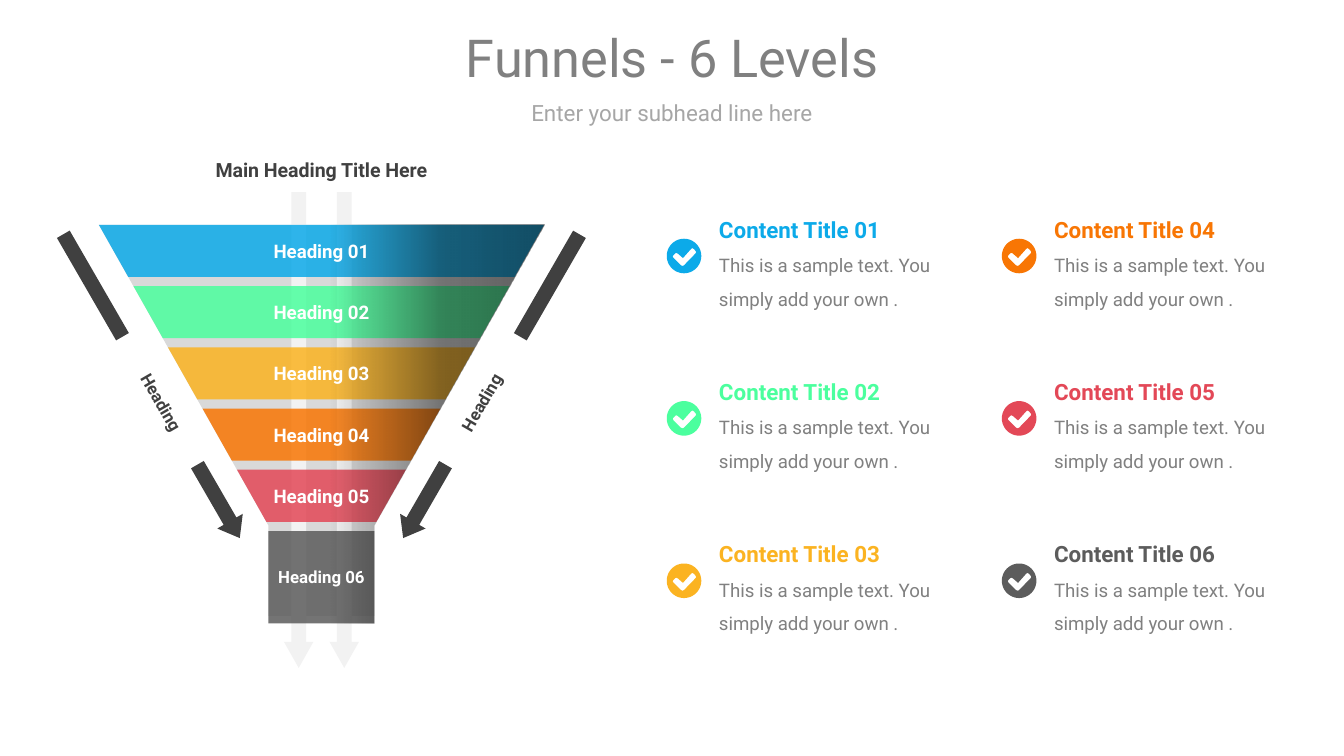
import math
from dataclasses import dataclass

import pptx
import pptx.dml.color
import pptx.enum.shapes
import pptx.enum.text
import pptx.oxml
import pptx.oxml.ns
import pptx.util

Pt = pptx.util.Pt
PRESET = pptx.enum.shapes.MSO_SHAPE
ALIGN = pptx.enum.text.PP_ALIGN


@dataclass(frozen=True)
class Theme:
    font: str = "Roboto"
    title: str = "808080"
    subhead: str = "A6A6A6"
    body: str = "808080"
    dark: str = "404040"
    cone: str = "D9D9D9"
    flow: str = "F2F2F2"
    white: str = "FFFFFF"
    shade: str = "000000"
    levels: tuple = ("0CAAE9", "4BFF9E", "FBB321", "F87604", "E34857", "5C5C5C")
    level_opacity: int = 85
    shade_stops: tuple = ((4, 0), (53, 46), (100, 56))
    title_size: float = 28
    subhead_size: float = 12
    main_heading_size: float = 10.5
    heading_size: float = 10
    small_heading_size: float = 9
    content_title_size: float = 12
    body_size: float = 10


THEME = Theme()
CHECK = [(.47, .56), (.70, .30), (.74, .27), (.79, .30), (.84, .36), (.85, .40),
         (.83, .43), (.50, .77), (.46, .79), (.41, .77), (.19, .55), (.17, .51),
         (.19, .48), (.25, .42), (.28, .41), (.32, .43)]


def paint(shape, color, opacity=100):
    shape.shadow.inherit = False
    shape.line.fill.background()
    shape.fill.solid()
    shape.fill.fore_color.rgb = pptx.dml.color.RGBColor.from_string(color)
    if opacity < 100:
        tint = next(shape._element.spPr.iter(pptx.oxml.ns.qn("a:srgbClr")))
        tint.append(pptx.oxml.parse_xml(
            f'<a:alpha {pptx.oxml.ns.nsdecls("a")} val="{opacity * 1000}"/>'))


def paint_shade(shape):
    paint(shape, THEME.shade)
    stops = "".join(
        f'<a:gs pos="{position * 1000}"><a:srgbClr val="{THEME.shade}">'
        f'<a:alpha val="{opacity * 1000}"/></a:srgbClr></a:gs>'
        for position, opacity in THEME.shade_stops)
    gradient = pptx.oxml.parse_xml(
        f'<a:gradFill {pptx.oxml.ns.nsdecls("a")}><a:gsLst>{stops}</a:gsLst>'
        '<a:lin ang="0" scaled="0"/></a:gradFill>')
    spPr = shape._element.spPr
    spPr.replace(spPr.find(pptx.oxml.ns.qn("a:solidFill")), gradient)


def add_outline(shapes, *contours):
    builder = None
    for contour in contours:
        start, *rest = [(Pt(x), Pt(y)) for x, y in contour]
        if builder is None:
            builder = shapes.build_freeform(*start)
        else:
            builder.move_to(*start)
        builder.add_line_segments(rest, close=True)
    return builder.convert_to_shape()


def add_centered(shapes, preset, x, y, width, height, color, rotation=0, head=None):
    shape = shapes.add_shape(preset, Pt(x - width / 2), Pt(y - height / 2),
                             Pt(width), Pt(height))
    shape.rotation = rotation
    if head:
        shape.adjustments[0] = 0.5
        shape.adjustments[1] = head
    paint(shape, color)
    return shape


def set_frame(frame, wrap=True):
    frame.margin_left = frame.margin_right = frame.margin_top = frame.margin_bottom = 0
    frame.vertical_anchor = pptx.enum.text.MSO_ANCHOR.MIDDLE
    frame.auto_size = pptx.enum.text.MSO_AUTO_SIZE.NONE
    frame.word_wrap = wrap


def set_paragraph(paragraph, text, size, color, bold=False, align=ALIGN.CENTER):
    paragraph.text = text
    paragraph.alignment = align
    paragraph.space_before = Pt(0)
    paragraph.font.name = THEME.font
    paragraph.font.size = Pt(size)
    paragraph.font.bold = bold
    paragraph.font.color.rgb = pptx.dml.color.RGBColor.from_string(color)


def add_heading(shapes, text, x, y, size, color, width=88.6, height=12, rotation=0):
    heading = shapes.add_textbox(Pt(x - width / 2), Pt(y - height / 2),
                                 Pt(width), Pt(height))
    heading.rotation = rotation
    set_frame(heading.text_frame)
    set_paragraph(heading.text_frame.paragraphs[0], text, size, color, bold=True)


def fill_header(slide, left, top, width):
    title, subhead = slide.shapes.title, slide.placeholders[1]
    for part, text, offset, height, size, color, wrap in (
            (title, "Funnels - 6 Levels", 0, 38.9, THEME.title_size, THEME.title, True),
            (subhead, "Enter your subhead line here", 42.5, 13.7,
             THEME.subhead_size, THEME.subhead, False)):
        part.left, part.top = Pt(left), Pt(top + offset)
        part.width, part.height = Pt(width), Pt(height)
        set_frame(part.text_frame, wrap)
        set_paragraph(part.text_frame.paragraphs[0], text, size, color)


def add_funnel(slide, left, top, width, height):
    center, half, neck = left + width / 2, width / 2, 28.4
    pitch, band_height, shoulder = 32.8, 27.9, 161
    slope = (half - neck) / shoulder
    neck_top = 5 * pitch
    middle = top + (neck_top + height) / 2
    funnel = slide.shapes.add_group_shape().shapes

    cone = add_outline(funnel, [
        (left, top), (left + width, top), (center + neck, top + shoulder),
        (center + neck, top + height - 4), (center - neck, top + height - 4),
        (center - neck, top + shoulder)])
    paint(cone, THEME.cone)

    for offset in (-12.2, 12.2):
        add_centered(funnel, PRESET.RIGHT_ARROW, center + offset, top + 109.9,
                     254.9, 15.8, THEME.flow, 90, 0.886)

    for level, color in enumerate(THEME.levels[:5]):
        upper = level * pitch
        lower = upper + band_height
        wide, narrow = half - upper * slope, half - lower * slope
        band = add_outline(funnel, [
            (center - wide, top + upper), (center + wide, top + upper),
            (center + narrow, top + lower), (center - narrow, top + lower)])
        paint(band, color, THEME.level_opacity)
    spout = add_centered(funnel, PRESET.RECTANGLE, center, middle, 2 * neck,
                         height - neck_top, THEME.levels[5])
    paint(spout, THEME.levels[5], THEME.level_opacity)

    shade = add_outline(funnel, [
        (center, top), (left + width, top), (center + neck, top + shoulder),
        (center + neck, top + height), (center, top + height)])
    paint_shade(shade)

    add_heading(slide.shapes, "Main Heading Title Here", center, top - 29.8,
                THEME.main_heading_size, THEME.dark, width=183.6)
    for level in range(5):
        add_heading(slide.shapes, f"Heading {level + 1:02}", center,
                    top + level * pitch + band_height / 2,
                    THEME.heading_size, THEME.white)
    add_heading(slide.shapes, "Heading 06", center, middle,
                THEME.small_heading_size, THEME.white)

    for side, rotation, reading in ((-1, 60, 60), (1, 120, 300)):
        add_centered(slide.shapes, PRESET.RECTANGLE, center + side * 122.4, top + 32.5,
                     63.4, 7.9, THEME.dark, rotation)
        add_heading(slide.shapes, "Heading", center + side * 85.7, top + 95.1,
                    THEME.small_heading_size, THEME.dark, rotation=reading)
        add_centered(slide.shapes, PRESET.RIGHT_ARROW, center + side * 55.1,
                     top + 148.1, 45.4, 15.8, THEME.dark, rotation, 0.659)


def add_content(slide, left, top, height, number, color):
    diameter, steps = 18.5, 48
    icon_top = top + (height - diameter) / 2
    circle = [(0.5 + math.cos(2 * math.pi * step / steps) / 2,
               0.5 + math.sin(2 * math.pi * step / steps) / 2) for step in range(steps)]
    icon = add_outline(slide.shapes, *(
        [(left + x * diameter, icon_top + y * diameter) for x, y in contour]
        for contour in (circle, CHECK)))
    paint(icon, color)

    content = slide.shapes.add_textbox(Pt(left + 28), Pt(top), Pt(124.6), Pt(height))
    frame = content.text_frame
    set_frame(frame)
    set_paragraph(frame.paragraphs[0], f"Content Title {number:02}",
                  THEME.content_title_size, color, True, ALIGN.LEFT)
    set_paragraph(frame.add_paragraph(), "This is a sample text. You simply add your own .",
                  THEME.body_size, THEME.body, False, ALIGN.LEFT)
    for paragraph in frame.paragraphs:
        paragraph.line_spacing = 1.5


def add_content_grid(slide, left, top, column_pitch, row_pitch):
    for index, color in enumerate(THEME.levels):
        column, row = divmod(index, 3)
        add_content(slide, left + column * column_pitch, top + row * row_pitch,
                    58.3, index + 1, color)


def main():
    deck = pptx.Presentation()
    deck.slide_width, deck.slide_height = Pt(720), Pt(405)
    slide = deck.slides.add_slide(deck.slide_layouts.get_by_name("Comparison"))
    for placeholder in list(slide.placeholders):
        if placeholder.placeholder_format.idx > 1:
            placeholder._element.getparent().remove(placeholder._element)
    fill_header(slide, 30.5, 10.8, 659)
    add_funnel(slide, 53, 120.5, 238.4, 213.5)
    add_content_grid(slide, 357.2, 108, 179.5, 87)
    deck.save("out.pptx")


if __name__ == "__main__":
    main()
